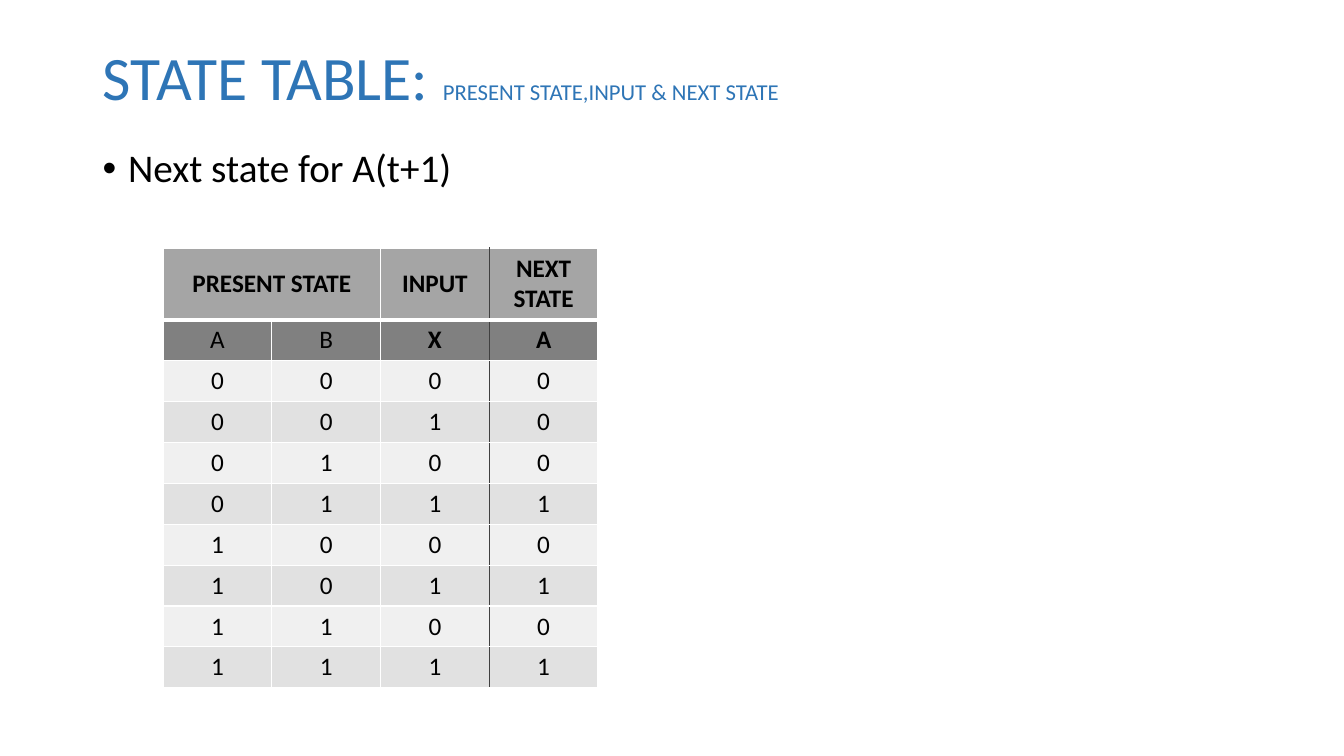
from dataclasses import dataclass
from itertools import product

from lxml import etree
from pptx import Presentation
from pptx.dml.color import RGBColor
from pptx.enum.text import MSO_ANCHOR, PP_ALIGN
from pptx.oxml.ns import qn
from pptx.util import Cm, Pt

MIDDLE = MSO_ANCHOR.MIDDLE
TOP = MSO_ANCHOR.TOP
CENTER = PP_ALIGN.CENTER
LEFT = PP_ALIGN.LEFT


@dataclass(frozen=True)
class Theme:
    font: str = "Calibri"
    title_size: float = 44.1
    subtitle_size: float = 16.2
    body_size: float = 28
    table_size: float = 18
    title: str = "2E75B6"
    text: str = "000000"
    heading_fill: str = "A5A5A5"
    variable_fill: str = "808080"
    bands: tuple[str, str] = ("F0F0F0", "E1E1E1")
    grid: str = "FFFFFF"
    divider: str = "404040"


@dataclass(frozen=True)
class TableRow:
    labels: tuple[str, ...]
    fill: str
    bold_from: int = 4


@dataclass(frozen=True)
class Border:
    side: str
    color: str
    width: float = 1


THEME = Theme()
CONTENT_LEFT, CONTENT_WIDTH = Cm(2.34), Cm(29.21)
DIVIDER_COLUMN = 3


def next_state_rows() -> list[TableRow]:
    rows = [
        TableRow(("PRESENT STATE", "", "INPUT", "NEXT STATE"), THEME.heading_fill, 0),
        TableRow(("A", "B", "X", "A"), THEME.variable_fill, 2),
    ]
    for index, (a, b, x) in enumerate(product((0, 1), repeat=3)):
        next_a = (a | b) & x
        labels = tuple(str(value) for value in (a, b, x, next_a))
        rows.append(TableRow(labels, THEME.bands[index % 2]))
    return rows


def style_font(font, size: float, color: str, bold: bool = False) -> None:
    font.name = THEME.font
    font.size = Pt(size)
    font.bold = bold
    font.color.rgb = RGBColor.from_string(color)


def add_title(slide) -> None:
    title = slide.shapes.title
    title.left, title.top = CONTENT_LEFT, Cm(1.02)
    title.width, title.height = CONTENT_WIDTH, Cm(2.62)
    frame = title.text_frame
    frame.vertical_anchor = MIDDLE
    frame.margin_bottom = Cm(0.71)
    paragraph = frame.paragraphs[0]
    paragraph.alignment = LEFT
    paragraph.line_spacing = 0.9
    for text, size in (
        ("STATE TABLE: ", THEME.title_size),
        ("PRESENT STATE,INPUT & NEXT STATE", THEME.subtitle_size),
    ):
        run = paragraph.add_run()
        run.text = text
        style_font(run.font, size, THEME.title)


def add_bullet(slide, text: str) -> None:
    box = slide.shapes.add_textbox(CONTENT_LEFT, Cm(3.63), CONTENT_WIDTH, Cm(13.51))
    frame = box.text_frame
    frame.word_wrap = True
    frame.vertical_anchor = TOP
    paragraph = frame.paragraphs[0]
    paragraph.text = text
    paragraph.line_spacing = 0.9
    properties = paragraph._p.get_or_add_pPr()
    properties.set("marL", str(Cm(0.64)))
    properties.set("indent", str(-Cm(0.64)))
    etree.SubElement(properties, qn("a:buFont"), typeface="Arial")
    etree.SubElement(properties, qn("a:buChar"), char="•")
    style_font(paragraph.font, THEME.body_size, THEME.text)


def add_border(cell, border: Border) -> None:
    properties = cell._tc.get_or_add_tcPr()
    line = etree.SubElement(properties, qn(f"a:ln{border.side}"), w=str(Pt(border.width)))
    fill = etree.SubElement(line, qn("a:solidFill"))
    etree.SubElement(fill, qn("a:srgbClr"), val=border.color)


def cell_borders(row: int, column: int) -> list[Border]:
    return [
        Border("L", THEME.divider if column == DIVIDER_COLUMN else THEME.grid),
        Border("R", THEME.divider if column == DIVIDER_COLUMN - 1 else THEME.grid),
        Border("T", THEME.grid, 3 if row == 1 else 1),
        Border("B", THEME.grid, 3 if row == 0 else 1),
    ]


def add_state_table(slide, rows: list[TableRow]) -> None:
    column_count = len(rows[0].labels)
    column_width, heading_height, row_height = Cm(2.74), Cm(1.81), Cm(1.03)
    height = heading_height + row_height * (len(rows) - 1)
    table = slide.shapes.add_table(
        len(rows), column_count, Cm(4.11), Cm(6.25), column_width * column_count, height
    ).table
    table.horz_banding = False
    for column in table.columns:
        column.width = column_width
    for row_index, row in enumerate(rows):
        table.rows[row_index].height = row_height if row_index else heading_height
        for column_index, label in enumerate(row.labels):
            cell = table.cell(row_index, column_index)
            for border in cell_borders(row_index, column_index):
                add_border(cell, border)
            cell.fill.solid()
            cell.fill.fore_color.rgb = RGBColor.from_string(row.fill)
            cell.vertical_anchor = MIDDLE
            paragraph = cell.text_frame.paragraphs[0]
            paragraph.text = label
            paragraph.alignment = CENTER
            bold = column_index >= row.bold_from
            style_font(paragraph.font, THEME.table_size, THEME.text, bold)
    table.cell(0, 0).merge(table.cell(0, 1))


def main() -> None:
    presentation = Presentation()
    presentation.slide_width, presentation.slide_height = Cm(33.87), Cm(19.05)
    slide = presentation.slides.add_slide(presentation.slide_layouts[5])
    add_title(slide)
    add_bullet(slide, "Next state for A(t+1)")
    add_state_table(slide, next_state_rows())
    presentation.save("out.pptx")


if __name__ == "__main__":
    main()
